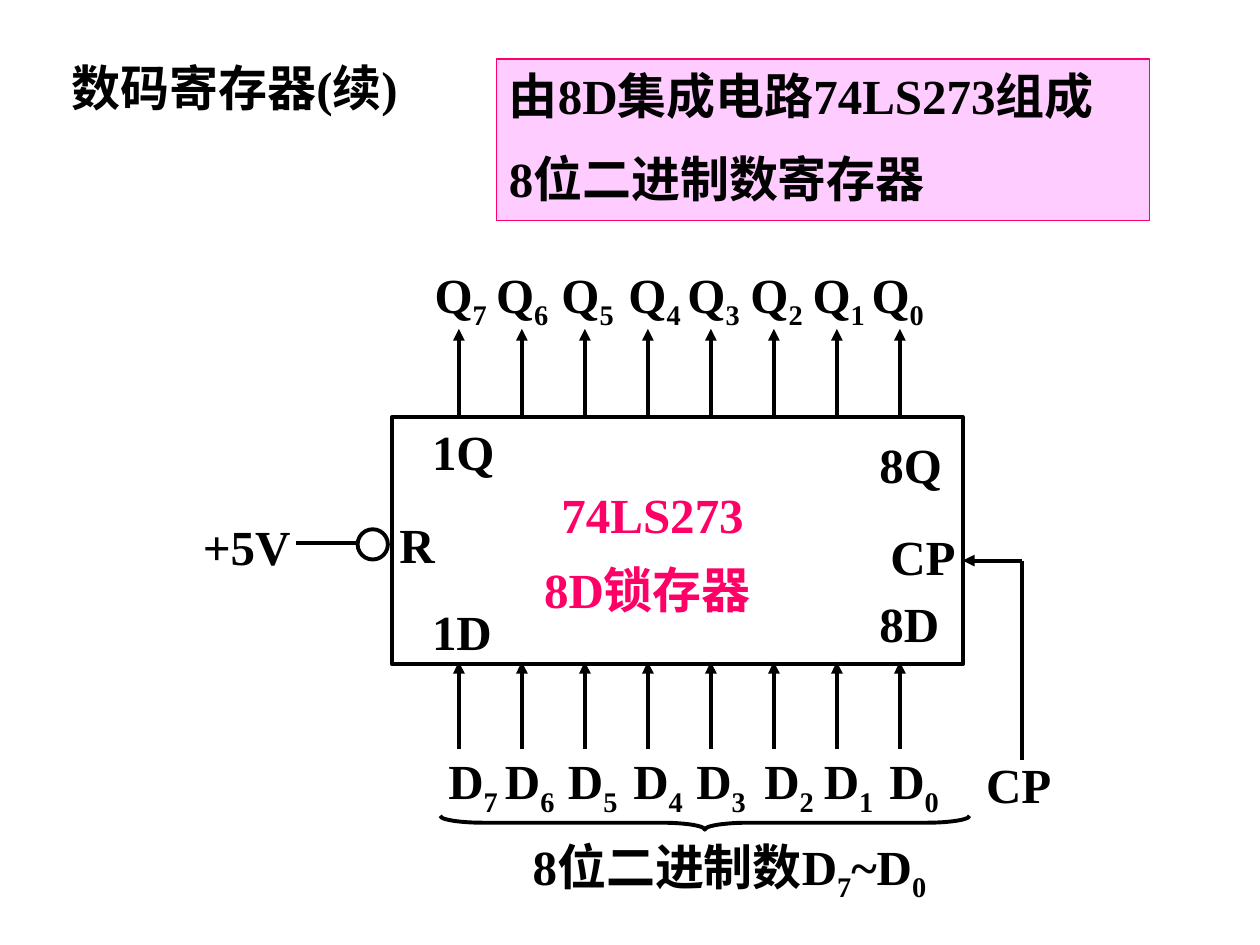
from dataclasses import dataclass

from lxml import etree
from pptx import Presentation
from pptx import util as u
from pptx.dml.color import RGBColor
from pptx.enum import shapes, text
from pptx.oxml.ns import qn


@dataclass(frozen=True)
class Theme:
    ink: RGBColor = RGBColor(0, 0, 0)
    accent: RGBColor = RGBColor(0xFF, 0x00, 0x66)
    panel: RGBColor = RGBColor(0xFF, 0xCC, 0xFF)
    paper: RGBColor = RGBColor(0xFF, 0xFF, 0xFF)
    font: str = "Times New Roman"
    size: u.Pt = u.Pt(28)
    paragraph_gap: u.Pt = u.Pt(14)
    stroke: u.Pt = u.Pt(2.25)
    thin: u.Pt = u.Pt(0.75)


THEME = Theme()


@dataclass(frozen=True)
class Label:
    """Text at a place in cm; an underscore lowers the next character."""
    words: str
    left: float
    top: float
    width: float
    color: RGBColor = THEME.ink


@dataclass(frozen=True)
class Wire:
    start: tuple[float, float]
    end: tuple[float, float]
    arrow: bool = False


LABEL_HEIGHT = 1.45
PIN_WIDTH = 1.75
FRAME = dict(word_wrap=True, auto_size=text.MSO_AUTO_SIZE.NONE,
             vertical_anchor=text.MSO_ANCHOR.TOP)


def set_all(target, values: dict) -> None:
    for name, value in values.items():
        setattr(target, name, value)


def place(shape, left: float, top: float, width: float, height: float) -> None:
    set_all(shape, dict(left=u.Cm(left), top=u.Cm(top),
                        width=u.Cm(width), height=u.Cm(height)))


def write(frame, lines: list[str], color: RGBColor = THEME.ink) -> None:
    set_all(frame, FRAME)
    for index, line in enumerate(lines):
        paragraph = frame.add_paragraph() if index else frame.paragraphs[0]
        paragraph.alignment = text.PP_ALIGN.LEFT
        paragraph.space_before = THEME.paragraph_gap if index else u.Pt(0)
        first, *lowered = line.split("_")
        pieces = [(first, False)]
        for piece in lowered:
            pieces += [(piece[0], True), (piece[1:], False)]
        for words, is_subscript in pieces:
            if not words:
                continue
            run = paragraph.add_run()
            run.text = words
            set_all(run.font, dict(name=THEME.font, size=THEME.size, bold=True))
            run.font.color.rgb = color
            if is_subscript:
                run.font._element.set("baseline", "-25000")


def draw_label(slide, label: Label) -> None:
    box = slide.shapes.add_textbox(u.Cm(label.left), u.Cm(label.top),
                                   u.Cm(label.width), u.Cm(LABEL_HEIGHT))
    write(box.text_frame, [label.words], label.color)


def draw_wire(slide, wire: Wire) -> None:
    line = slide.shapes.add_connector(
        shapes.MSO_CONNECTOR.STRAIGHT,
        *(u.Cm(value) for value in wire.start + wire.end))
    line.line.color.rgb = THEME.ink
    line.line.width = THEME.stroke
    if wire.arrow:
        etree.SubElement(line.line._get_or_add_ln(), qn("a:tailEnd"), type="triangle")
    etree.SubElement(line._element.spPr, qn("a:effectLst"))


def draw_shape(slide, preset, box: tuple[float, float, float, float],
               fill: RGBColor | None = THEME.paper, outline: RGBColor = THEME.ink,
               width: u.Pt = THEME.stroke):
    shape = slide.shapes.add_shape(preset, *(u.Cm(value) for value in box))
    shape.shadow.inherit = False
    if fill is None:
        shape.fill.background()
    else:
        shape.fill.solid()
        shape.fill.fore_color.rgb = fill
    shape.line.color.rgb = outline
    shape.line.width = width
    return shape


def pin_labels(letter: str, lefts: list[float], top: float) -> list[Label]:
    return [Label(f"{letter}_{7 - index}", left, top, PIN_WIDTH)
            for index, left in enumerate(lefts)]


PIN_XS = [9.25 + 1.27 * pin for pin in range(8)]
WIRES = (
    [Wire((x, 8.38), (x, 6.63), True) for x in PIN_XS]        # outputs
    + [Wire((x, 15.09), (x, 13.34), True) for x in PIN_XS]    # inputs
    + [Wire((5.97, 10.95), (7.26, 10.95)),                    # reset
       Wire((20.6, 11.3), (19.41, 11.3), True),               # clock
       Wire((20.6, 11.3), (20.6, 15.32))]
)
LABELS = (
    pin_labels("Q", [8.51, 9.75, 11.07, 12.42, 13.61, 14.88, 16.13, 17.32], 5.21)
    + pin_labels("D", [8.79, 9.93, 11.2, 12.52, 13.79, 15.16, 16.36, 17.68], 15.01)
    + [
        Label("1Q", 8.46, 8.38, 1.85),
        Label("8Q", 17.48, 8.64, 1.85),
        Label("1D", 8.46, 12.01, 1.85),
        Label("8D", 17.48, 11.84, 1.85),
        Label("R", 7.8, 10.24, 1.12),
        Label("+5V", 3.84, 10.29, 2.49),
        Label("CP", 17.7, 10.49, 2.08),
        Label("CP", 19.63, 15.09, 1.88),
        Label("74LS273", 11.07, 9.65, 4.77, THEME.accent),
        Label("8D锁存器", 10.72, 11.15, 5.38, THEME.accent),
        Label("8位二进制数D_7~D_0", 10.49, 16.74, 9.37),
    ]
)


def main() -> None:
    deck = Presentation()
    set_all(deck, dict(slide_width=u.Cm(25.4), slide_height=u.Cm(19.05)))
    slide = deck.slides.add_slide(deck.slide_layouts[5])

    # Title, wide enough for one line
    heading = slide.shapes.title
    place(heading, 1.19, 1.04, 7.9, LABEL_HEIGHT)
    write(heading.text_frame, ["数码寄存器(续)"])

    # Description panel, with no right margin so each paragraph keeps to one line
    description = draw_shape(slide, shapes.MSO_SHAPE.RECTANGLE, (10.01, 1.19, 13.16, 3.25),
                             THEME.panel, THEME.accent, THEME.thin)
    write(description.text_frame, ["由8D集成电路74LS273组成", "8位二进制数寄存器"])
    description.text_frame.margin_right = u.Cm(0)

    # Latch chip with its wires and inverted reset
    draw_shape(slide, shapes.MSO_SHAPE.RECTANGLE, (7.9, 8.41, 11.51, 4.98))
    for wire in WIRES:
        draw_wire(slide, wire)
    draw_shape(slide, shapes.MSO_SHAPE.OVAL, (7.21, 10.67, 0.61, 0.61))

    # Pin names and captions
    for label in LABELS:
        draw_label(slide, label)

    # Brace under the data inputs
    data_brace = draw_shape(slide, shapes.MSO_SHAPE.LEFT_BRACE,
                            (14.07, 11.25, 0.28, 10.67), fill=None)
    data_brace.rotation = 270
    data_brace.adjustments[0] = 3.1

    deck.save("out.pptx")


if __name__ == "__main__":
    main()
